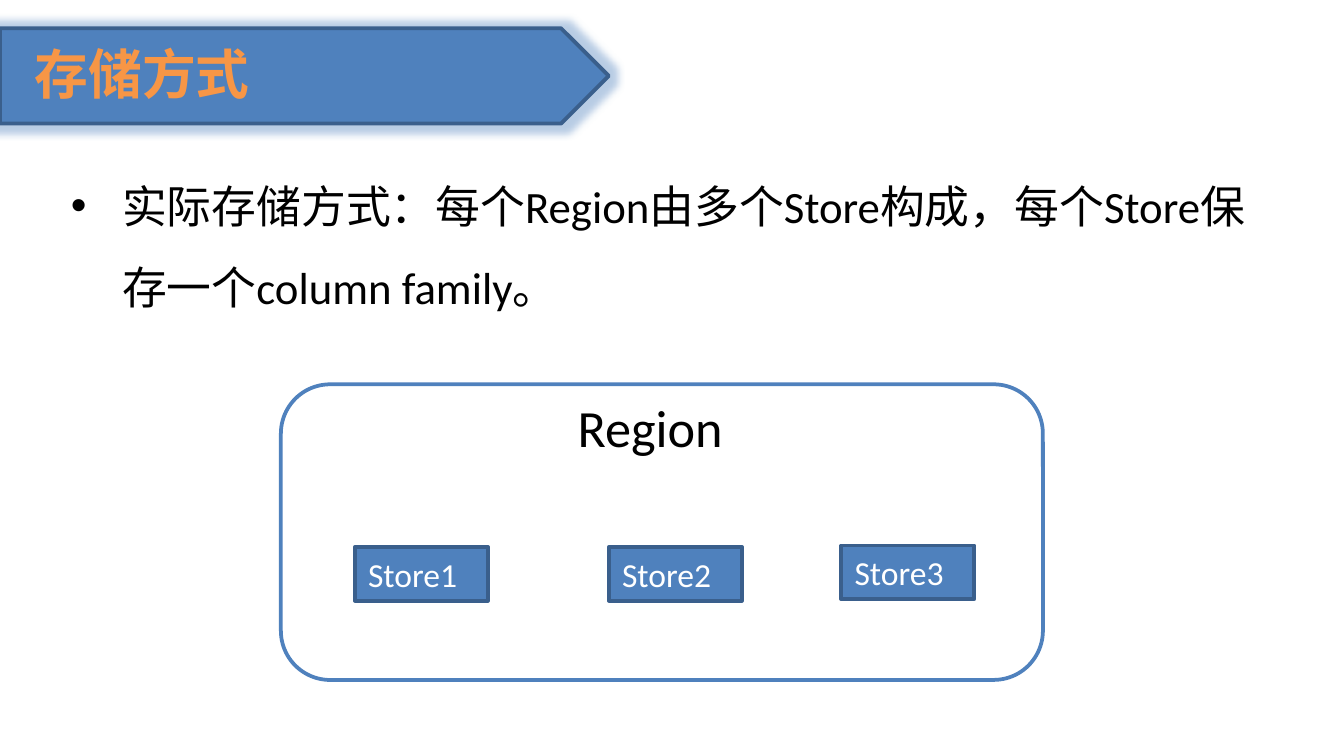
from lxml.etree import SubElement
from pptx import Presentation
from pptx.dml.color import RGBColor
from pptx.enum.shapes import MSO_SHAPE
from pptx.enum.text import MSO_ANCHOR, PP_ALIGN
from pptx.oxml.ns import qn
from pptx.util import Inches, Pt

COLORS = {
    "blue": "4F81BD",
    "dark_blue": "3A5F8C",
    "orange": "F79646",
    "white": "FFFFFF",
    "black": "000000",
}
COLUMNS, ROWS = 100, 56.25


def color(name):
    return RGBColor.from_string(COLORS[name])


def write_text(shape, text, size, fill="black", font="Calibri", bold=False, wrap=True,
               anchor=MSO_ANCHOR.TOP, line_spacing=None, bullet=None, indent=0.38):
    frame = shape.text_frame
    frame.word_wrap = wrap
    frame.vertical_anchor = anchor
    paragraph = frame.paragraphs[0]
    paragraph.alignment = PP_ALIGN.LEFT
    if line_spacing:
        paragraph.line_spacing = line_spacing
    if bullet:
        properties = paragraph._p.get_or_add_pPr()
        properties.set("marL", str(Inches(indent)))
        properties.set("indent", str(-Inches(indent)))
        SubElement(properties, qn("a:buFont"), typeface="Arial")
        SubElement(properties, qn("a:buChar"), char=bullet)
    run = paragraph.add_run()
    run.text = text
    run.font.size = Pt(size)
    run.font.bold = bold
    run.font.color.rgb = color(fill)
    run.font.name = font
    if font != "Calibri":
        SubElement(run._r.get_or_add_rPr(), qn("a:ea"), typeface=font)


class SlideBuilder:
    def __init__(self, presentation):
        self.slide = presentation.slides.add_slide(presentation.slide_layouts[6])
        self.column = presentation.slide_width / COLUMNS
        self.row = presentation.slide_height / ROWS

    def place(self, left, top, width, height):
        return (round(left * self.column), round(top * self.row),
                round(width * self.column), round(height * self.row))

    def box(self, kind, area, fill="blue", line="dark_blue"):
        shape = self.slide.shapes.add_shape(kind, *self.place(*area))
        shape.shadow.inherit = False
        shape.fill.solid()
        shape.fill.fore_color.rgb = color(fill)
        shape.line.color.rgb = color(line)
        shape.line.width = Pt(2)
        return shape

    def glow(self, shape, name, radius, alpha):
        effects = shape._element.spPr.find(qn("a:effectLst"))
        glow = SubElement(effects, qn("a:glow"), rad=str(Pt(radius)))
        tint = SubElement(glow, qn("a:srgbClr"), val=COLORS[name])
        SubElement(tint, qn("a:alpha"), val=str(alpha * 1000))

    def text(self, area, text, size, **style):
        shape = self.slide.shapes.add_textbox(*self.place(*area))
        write_text(shape, text, size, **style)


def main():
    presentation = Presentation()
    presentation.slide_width = Inches(10)
    presentation.slide_height = Inches(10 * 9 / 16)
    builder = SlideBuilder(presentation)

    # Title banner
    banner = builder.box(MSO_SHAPE.PENTAGON, (0, 2.1, 45.3, 7.1))
    builder.glow(banner, "blue", radius=8, alpha=40)
    builder.text((1.6, 2.5, 83.9, 5.9), "存储方式", 28.8, fill="orange",
                 font="Noto Sans CJK SC", bold=True, anchor=MSO_ANCHOR.MIDDLE)

    # Explanation
    builder.text((4.3, 10.8, 90, 41.3),
                 "实际存储方式：每个Region由多个Store构成，每个Store保存一个column family。",
                 24, line_spacing=1.5, bullet="•")

    # Region with its stores
    builder.box(MSO_SHAPE.ROUNDED_RECTANGLE, (20.9, 28.6, 56.7, 22), fill="white", line="blue")
    builder.text((42, 28.9, 12.9, 5.7), "Region", 28, wrap=False)
    store_corners = [(26.4, 40.7), (45.3, 40.7), (62.6, 40.6)]
    for number, (left, top) in enumerate(store_corners, start=1):
        store = builder.box(MSO_SHAPE.RECTANGLE, (left, top, 9.9, 4))
        write_text(store, f"Store{number}", 18, fill="white")

    presentation.save("out.pptx")


if __name__ == "__main__":
    main()
